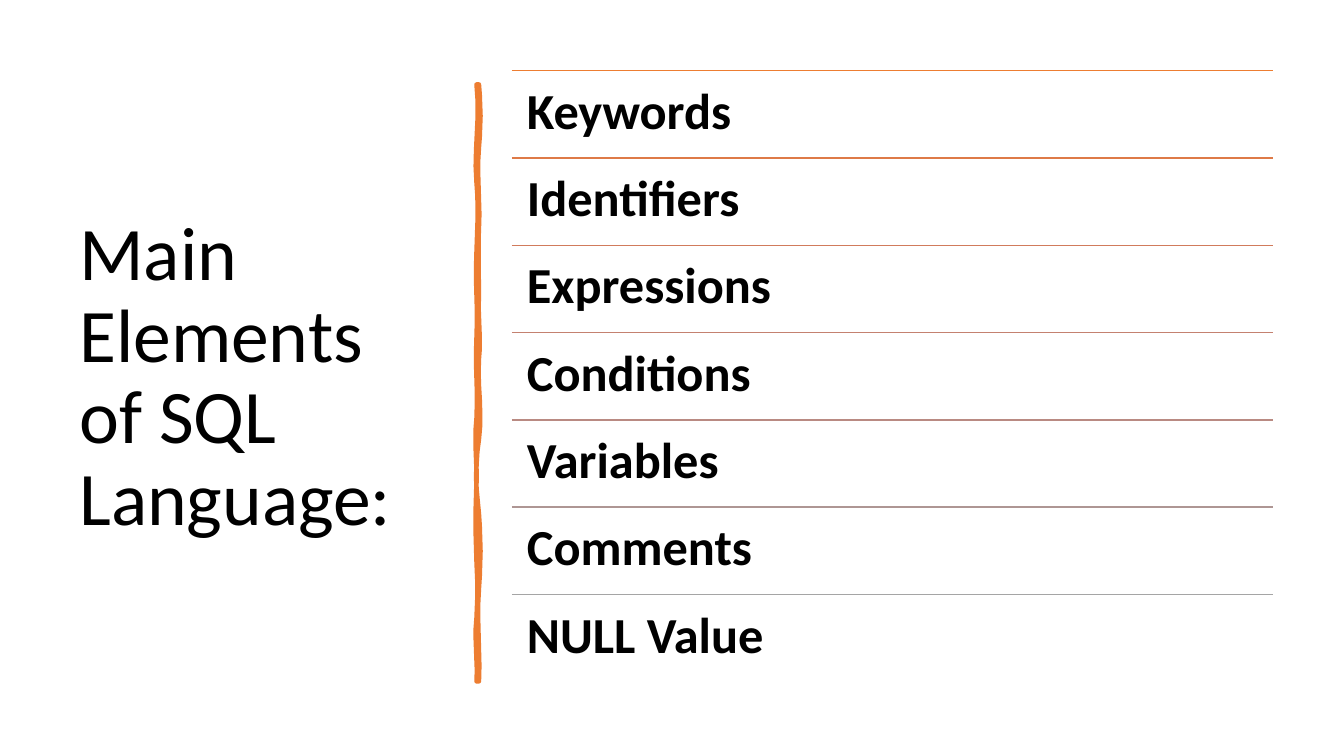
from dataclasses import dataclass

from lxml import etree
from pptx import Presentation
from pptx import util as u
from pptx.dml import color
from pptx.enum import shapes, text
from pptx.oxml import ns


@dataclass
class Theme:
    font: str = "Calibri"
    ink: str = "000000"
    bar: str = "ED7D31"
    title: int = 54
    item: int = 36
    rule: float = 1
    edge: float = 3.25


def rgb(code):
    return color.RGBColor.from_string(code)


class Deck:
    def __init__(self, theme):
        self.theme = theme
        self.file = Presentation()
        self.file.slide_width = u.Cm(33.87)
        self.file.slide_height = u.Cm(19.05)
        self.slide = self.file.slides.add_slide(self.file.slide_layouts[6])

    def label(self, words, box, size, pad, anchor, bold=False):
        shape = self.slide.shapes.add_textbox(*map(u.Cm, box))
        frame = shape.text_frame
        frame.word_wrap = True
        frame.vertical_anchor = anchor
        frame.margin_left = frame.margin_right = u.Cm(pad[0])
        frame.margin_top = frame.margin_bottom = u.Cm(pad[1])
        para = frame.paragraphs[0]
        para.line_spacing = 0.9
        run = para.add_run()
        run.text = words
        run.font.name = self.theme.font
        run.font.size = u.Pt(size)
        run.font.bold = bold
        run.font.color.rgb = rgb(self.theme.ink)

    def rule(self, left, right, top, tint):
        line = self.slide.shapes.add_connector(
            shapes.MSO_CONNECTOR.STRAIGHT,
            u.Cm(left), u.Cm(top), u.Cm(right), u.Cm(top))
        line.line.color.rgb = rgb(tint)
        line.line.width = u.Pt(self.theme.rule)
        etree.SubElement(line._element.spPr, ns.qn("a:effectLst"))

    def outline(self, points):
        build = self.slide.shapes.build_freeform(*points[0], scale=u.Cm(0.01))
        build.add_line_segments(points[1:], close=True)
        shape = build.convert_to_shape()
        shape.shadow.inherit = False
        shape.fill.solid()
        shape.fill.fore_color.rgb = rgb(self.theme.bar)
        shape.line.color.rgb = rgb(self.theme.bar)
        shape.line.width = u.Pt(self.theme.edge)


def wave(base, start, bends, steps=6):
    points = [(base, start)]
    for end, first, second in bends:
        for step in range(1, steps + 1):
            t = step / steps
            sway = 3 * t * (1 - t) * ((1 - t) * first + t * second)
            points.append((round(base + sway), round(start + t * (end - start))))
        start = end
    return points


TOP, BASE = 213, 1717
RIGHT = [(371, 5, 5), (574, -5, 3), (747, -3, 0), (904, -3, 5),
         (1107, -5, 10), (1295, -10, -8), (1483, 5, 5), (BASE, -5, 3)]
LEFT = [(1557, 3, -5), (1415, 3, 3), (1212, -3, -3), (1054, 0, -5),
        (851, 3, -3), (635, 3, -3), (460, 3, 5), (TOP, -8, 10)]
ITEMS = [("Keywords", "ED7D31"), ("Identifiers", "DE7A47"),
         ("Expressions", "D17B5C"), ("Conditions", "C48170"),
         ("Variables", "B98A82"), ("Comments", "AE9694"),
         ("NULL Value", "A5A5A5")]


def main():
    theme = Theme()
    deck = Deck(theme)
    deck.label("Main Elements of SQL Language:", (1.75, 1.78, 9.5, 15.52),
               theme.title, (0.25, 0.13), text.MSO_ANCHOR.MIDDLE)
    deck.outline(wave(1207, TOP, RIGHT) + wave(1201, BASE, LEFT))
    left, wide, first, pitch = 12.9, 19.18, 1.78, 2.2
    for row, (name, tint) in enumerate(ITEMS):
        top = first + row * pitch
        deck.rule(left, left + wide, top, tint)
        deck.label(name, (left, top, wide, pitch), theme.item,
                   (0.38, 0.38), text.MSO_ANCHOR.TOP, bold=True)
    deck.file.save("out.pptx")


if __name__ == "__main__":
    main()
